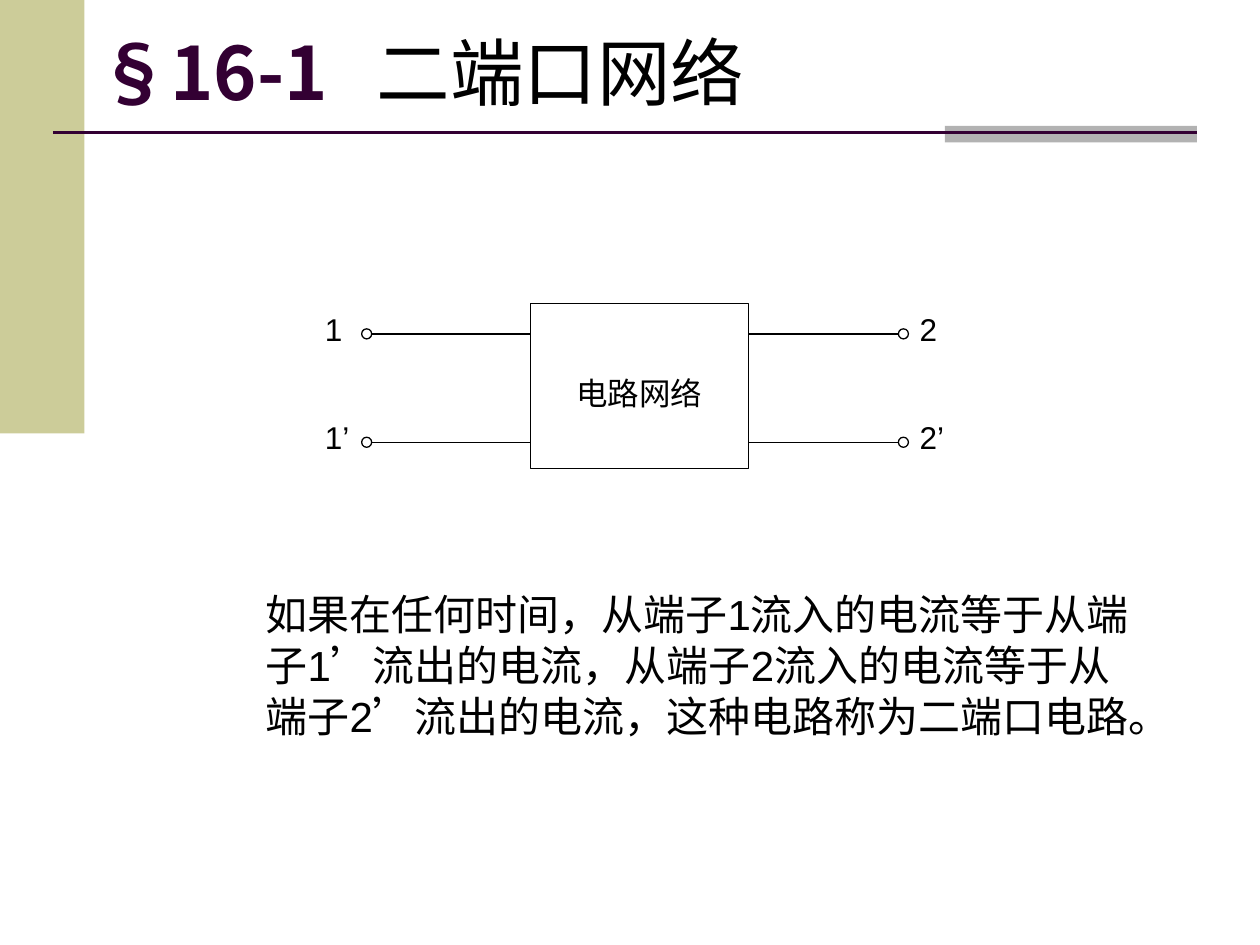
from pptx import Presentation, util as u
from pptx.dml.color import RGBColor
from pptx.enum import shapes, text
from pptx.oxml.ns import qn
from lxml import etree

prs = Presentation()
prs.slide_width, prs.slide_height = u.Inches(10), u.Inches(7.5)
COL, ROW = prs.slide_width / 100, prs.slide_height / 75
CJK = "Noto Sans CJK SC"
PLUM, BLACK = "330033", "000000"
RECT, OVAL = shapes.MSO_SHAPE.RECTANGLE, shapes.MSO_SHAPE.OVAL


def grid(x, y, w, h):
    """Turn columns and rows into slide lengths."""
    return [int(n) for n in (x * COL, y * ROW, w * COL, h * ROW)]


def paint(fill, color):
    fill.solid()
    fill.fore_color.rgb = RGBColor.from_string(color)


s = prs.slides.add_slide(prs.slide_layouts[5])

# Side band and accent bar
for place, color in [((0, 0, 6.7, 34.4), "CCCC99"), ((75, 10, 20, 1.3), "B2B2B2")]:
    sp = s.shapes.add_shape(RECT, *grid(*place))
    sp.shadow.inherit = False
    paint(sp.fill, color)
    sp.line.fill.background()

# Title
sp = s.shapes.title
sp.left, sp.top, sp.width, sp.height = grid(6.7, 2.1, 88.3, 7.1)
tf = sp.text_frame
tf.vertical_anchor = text.MSO_ANCHOR.MIDDLE
tf.auto_size = text.MSO_AUTO_SIZE.NONE
p = tf.paragraphs[0]
p.alignment = text.PP_ALIGN.LEFT
tabs = etree.SubElement(p._p.get_or_add_pPr(), qn("a:tabLst"))
etree.SubElement(tabs, qn("a:tab"), pos=str(int(22.2 * COL)), algn="l")
for words, font, color, bold in [("§16-1\t", CJK, PLUM, True),
                                 ("二端口网络", "Times New Roman", BLACK, False)]:
    r = p.add_run()
    r.text = words
    r.font.name, r.font.size, r.font.bold = font, u.Pt(42), bold
    paint(r.font.fill, color)

# Network box and its terminals
LEFT, RIGHT = 42.1, 59.4
WIRES = {26.5: "", 35.1: "’"}
DOT = 0.8
box = s.shapes.add_shape(RECT, *grid(LEFT, 24.1, RIGHT - LEFT, 13.1))
outlines = [box]
lines = [(4.2, 10.5, 95, 10.5, PLUM, 1.5)]
labels = []
for y, mark in WIRES.items():
    for number, edge, end, dot_x, label_x in [("1", LEFT, 29.5, 28.7, 24.8),
                                              ("2", RIGHT, 71.3, 71.3, 72)]:
        lines.append((end, y, edge, y, BLACK, 0.75))
        outlines.append(s.shapes.add_shape(OVAL, *grid(dot_x, y - DOT / 2, DOT, DOT)))
        labels.append((number + mark, (label_x, y - 2.4, 6.3, 4), 18))

for sp in outlines:
    sp.shadow.inherit = False
    sp.fill.background()
    paint(sp.line.fill, BLACK)
    sp.line.width = u.Pt(0.75)

# Title rule and wires
for x1, y1, x2, y2, color, width in lines:
    line = s.shapes.add_connector(shapes.MSO_CONNECTOR.STRAIGHT, *grid(x1, y1, x2, y2))
    paint(line.line.fill, color)
    line.line.width = u.Pt(width)
    etree.SubElement(line._element.spPr, qn("a:effectLst"))

# Network name
tf = box.text_frame
tf.text = "电路网络"
tf.margin_top = int(1.6 * ROW)
tf.vertical_anchor = text.MSO_ANCHOR.MIDDLE
p = tf.paragraphs[0]
p.alignment = text.PP_ALIGN.CENTER
p.runs[0].font.size = u.Pt(18)
frames = [tf]

# Terminal labels and definition
definition = ("如果在任何时间，从端子1流入的电流等于从端子1’流出的电流，"
              "从端子2流入的电流等于从端子2’流出的电流，这种电路称为二端口电路。")
for words, place, size in labels + [(definition, (20.1, 46.2, 71.7, 19), 24)]:
    tf = s.shapes.add_textbox(*grid(*place)).text_frame
    tf.word_wrap = True
    tf.text = words
    tf.paragraphs[0].runs[0].font.size = u.Pt(size)
    frames.append(tf)
tf.paragraphs[0].line_spacing = u.Pt(29)

for tf in frames:
    r = tf.paragraphs[0].runs[0]
    r.font.name = "Arial"
    paint(r.font.fill, BLACK)

# East Asian typeface
for tf in frames + [s.shapes.title.text_frame]:
    for r in tf.paragraphs[0].runs:
        etree.SubElement(r.font._element, qn("a:ea"), typeface=CJK)

prs.save("out.pptx")
